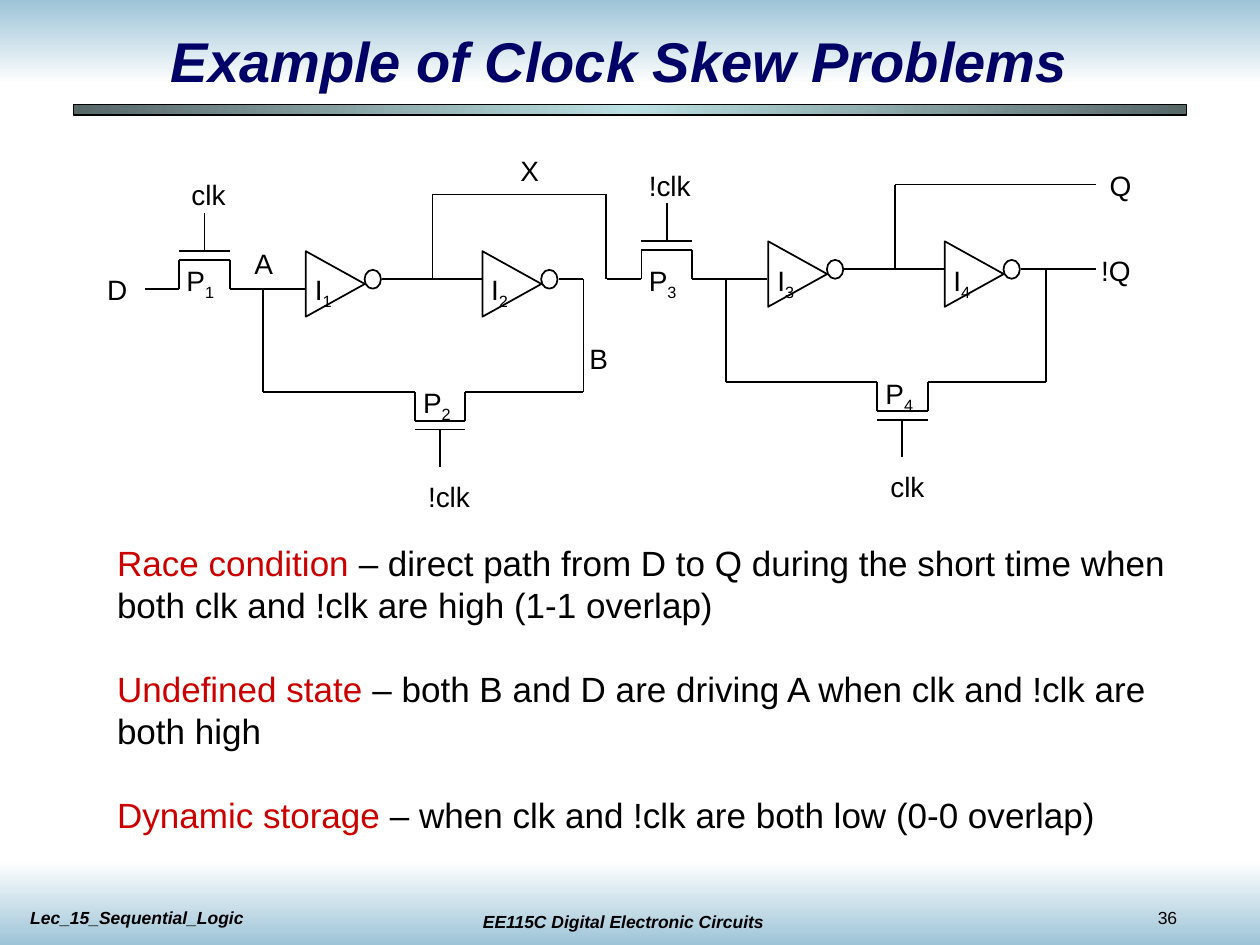
from copy import deepcopy
from lxml.etree import SubElement
from pptx import Presentation
from pptx.dml.color import RGBColor
from pptx.enum.shapes import MSO_CONNECTOR as Link, MSO_SHAPE as Kind
from pptx.enum.text import MSO_ANCHOR as Anchor, PP_ALIGN as Align
from pptx.oxml.ns import qn
from pptx.util import Cm, Pt

HUES = {"ink": "000000", "navy": "000066", "red": "CC0000", "sky": "9DC4D7",
        "white": "FFFFFF", "slate": "566768", "aqua": "BBE0E3"}

# Content; all lengths are centimetres
TITLE = "Example of Clock Skew Problems"
NOTES = [  # term, meaning, top, width, height
    ("Race condition ", "– direct path from D to Q during the short time when "
     "both clk and !clk are high (1-1 overlap)", 10.8, 22.66, 1.96),
    ("Undefined state ", "– both B and D are driving A when clk and !clk are "
     "both high", 13.34, 22.43, 1.96),
    ("Dynamic storage ", "– when clk and !clk are both low (0-0 overlap)",
     15.88, 22.86, 1.12),
]
FOOT = [  # text, left, top, width, bold italic, alignment
    ("EE115C Digital Electronic Circuits", 8.97, 18.24, 7.19, True, Align.CENTER),
    ("36", 23.09, 18.16, 2.11, False, Align.LEFT),
    ("Lec_15_Sequential_Logic", 0.36, 18.16, 7.19, True, Align.LEFT),
]
LABELS = [  # text, subscript, left, top, width
    ("D", "", 1.91, 5.36, 0.91), ("A", "", 4.88, 4.85, 0.91),
    ("B", "", 11.63, 6.76, 0.91), ("X", "", 10.24, 2.97, 0.91),
    ("Q", "", 22.12, 3.28, 0.94), ("!Q", "", 21.95, 4.98, 1.2),
    ("clk", "", 3.61, 3.45, 1.19), ("!clk", "", 8.38, 9.55, 1.35),
    ("!clk", "", 12.83, 3.28, 1.35), ("clk", "", 17.7, 9.35, 1.19),
    ("P", "1", 3.51, 5.18, 1.07), ("P", "2", 8.28, 7.65, 1.07),
    ("P", "3", 12.83, 5.18, 1.07), ("P", "4", 17.6, 7.47, 1.07),
    ("I", "1", 6.1, 5.36, 0.84), ("I", "2", 9.65, 5.36, 0.84),
    ("I", "3", 15.42, 5.18, 0.84), ("I", "4", 18.97, 5.18, 0.84),
]

# Latch geometry, measured from the left foot of its input gate
LATCHES = [(3.61, 5.82), (12.93, 5.62)]
GATE = 1.02            # width of a pass gate
LOW, OUT, TOP = 2.08, -0.2, -1.9   # feedback, inverter output and tap levels
LOOP = (4.75, LOW)     # left foot of the feedback gate
INVERTERS = [2.49, 6.05]
TAP, END = 5.11, 8.15
WIRES = [
    [(-0.69, 0), (0, 0)],
    [(GATE, 0), (2.54, 0)],
    [(1.7, 0), (1.7, LOW), LOOP],
    [(LOOP[0] + GATE, LOW), (END, LOW), (END, OUT), (7.65, OUT)],
    [(4.09, OUT), (6.12, OUT)],
    [(TAP, OUT), (TAP, TOP)],
]
EXITS = [
    [[(TAP, TOP), (8.61, TOP), (8.61, OUT)]],
    [[(TAP, TOP), (9.17, TOP)], [(END, OUT), (9.17, OUT)]],
]

deck = Presentation()
deck.slide_width, deck.slide_height = Cm(25.4), Cm(19.05)
slide = deck.slides.add_slide(deck.slide_layouts[5])
shapes = slide.shapes


def tint(name):
    return RGBColor.from_string(HUES[name])


def add_run(para, text, size, hue="ink", slant=False):
    run = para.add_run()
    run.text = text
    font = run.font
    font.name, font.size = "Arial", Pt(size)
    font.bold = font.italic = slant
    font.color.rgb = tint(hue)
    return run


def add_box(x, y, w, h, wrap=True):
    frame = shapes.add_textbox(Cm(x), Cm(y), Cm(w), Cm(h)).text_frame
    frame.word_wrap = wrap
    return frame.paragraphs[0]


def add_form(kind, x, y, w, h, width=1):
    form = shapes.add_shape(kind, Cm(x), Cm(y), Cm(w), Cm(h))
    form.shadow.inherit = False
    form.fill.background()
    form.line.color.rgb = tint("ink")
    form.line.width = Pt(width)
    return form


def blend(form, hues, angle):
    fill = form.fill
    fill.gradient()
    fill.gradient_angle = angle
    stops = form._element.spPr.find(".//" + qn("a:gsLst"))
    while len(stops) < len(hues):
        stops.append(deepcopy(stops[-1]))
    for i, (stop, hue) in enumerate(zip(fill.gradient_stops, hues)):
        stop.position = i / (len(hues) - 1)
        stop.color.rgb = tint(hue)


def add_wire(points, x, y):
    for (ax, ay), (bx, by) in zip(points, points[1:]):
        wire = shapes.add_connector(Link.STRAIGHT, Cm(x + ax), Cm(y + ay),
                                    Cm(x + bx), Cm(y + by))
        wire.line.color.rgb = tint("ink")
        wire.line.width = Pt(1)
        SubElement(wire._element.spPr, qn("a:effectLst"))


def add_gate(x, y, way):
    body, plate, stem = 0.58 * way, 0.76 * way, 1.52 * way
    add_wire([(0, 0), (0, body), (GATE, body), (GATE, 0)], x, y)
    add_wire([(0, plate), (GATE, plate)], x, y)
    add_wire([(GATE / 2, plate), (GATE / 2, stem)], x, y)


# Background bands and rule
for top, hues in [(0, ("sky", "white")), (17.35, ("white", "sky"))]:
    band = add_form(Kind.RECTANGLE, 0, top, 25.4, 1.7)
    band.line.fill.background()
    blend(band, hues, 270)
rule = add_form(Kind.RECTANGLE, 1.48, 2.11, 22.44, 0.21, 0.75)
blend(rule, ("slate", "aqua", "slate"), 0)

# Title, lifted in front of the bands
head = shapes.title
rule._element.addnext(head._element)
head.left, head.top, head.width, head.height = Cm(1.27), Cm(0.42), Cm(22.44), Cm(1.6)
head.text_frame.vertical_anchor = Anchor.MIDDLE
para = head.text_frame.paragraphs[0]
para.alignment = Align.CENTER
add_run(para, TITLE, 32, "navy", True)

# Circuit
for (x, y), exits in zip(LATCHES, EXITS):
    for left in INVERTERS:
        add_form(Kind.ISOSCELES_TRIANGLE, x + left, y - 0.69, 1.32, 1.19).rotation = 90
        add_form(Kind.OVAL, x + left + 1.25, y - 0.38, 0.33, 0.38)
    for points in WIRES + exits:
        add_wire(points, x, y)
    add_gate(x, y, -1)
    add_gate(x + LOOP[0], y + LOOP[1], 1)

# Circuit labels
for text, sub, x, y, w in LABELS:
    para = add_box(x, y, w, 1.04 if sub else 0.94, False)
    add_run(para, text, 16)
    if sub:
        add_run(para, sub, 16).font._element.set("baseline", "-25000")

# Explanations
for term, text, y, w, h in NOTES:
    para = add_box(2.11, y, w, h)
    add_run(para, term, 20, "red")
    add_run(para, text, 20)

# Footer
for text, x, y, w, slant, align in FOOT:
    para = add_box(x, y, w, 0.69)
    para.alignment = align
    add_run(para, text, 10, slant=slant)

deck.save("out.pptx")
